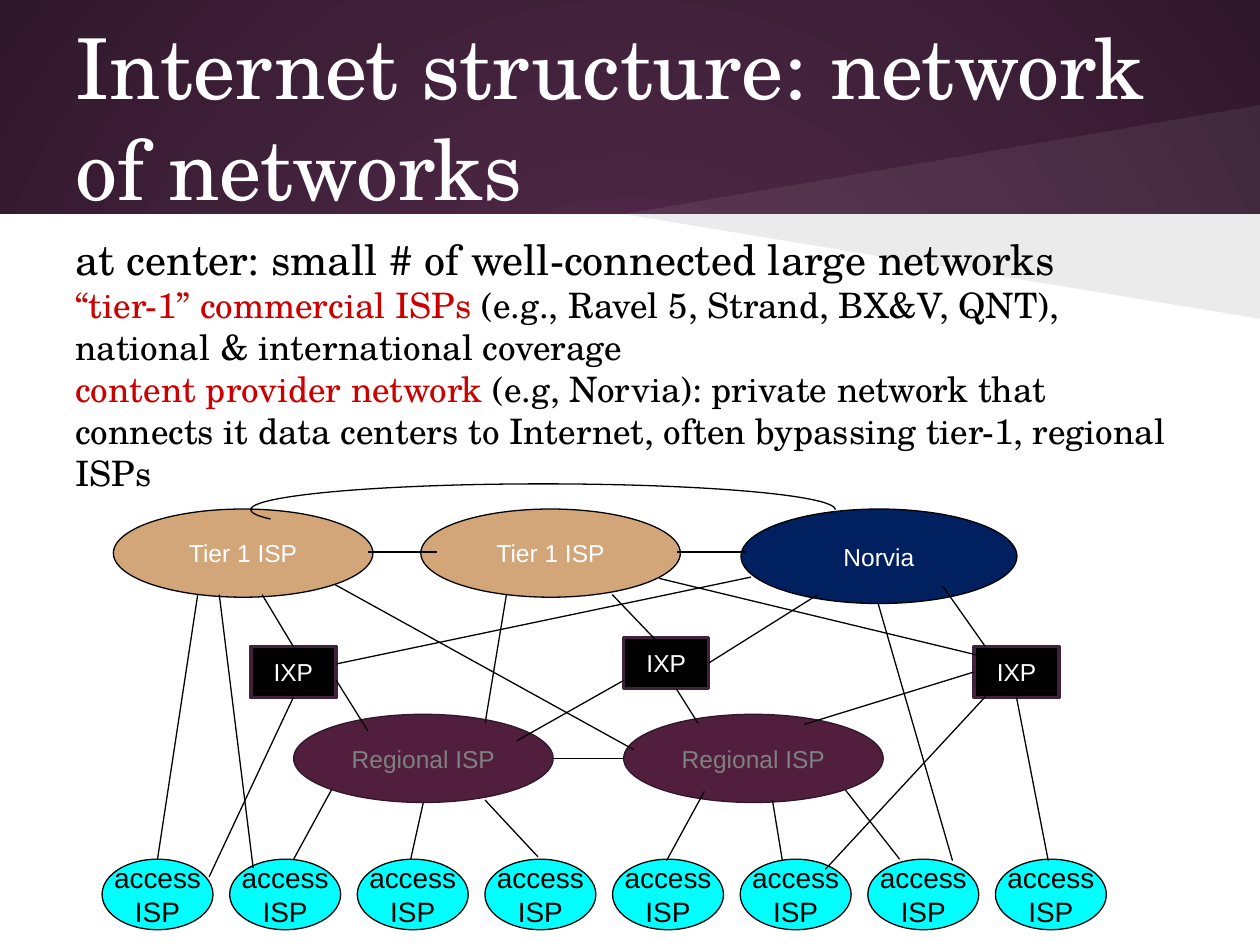
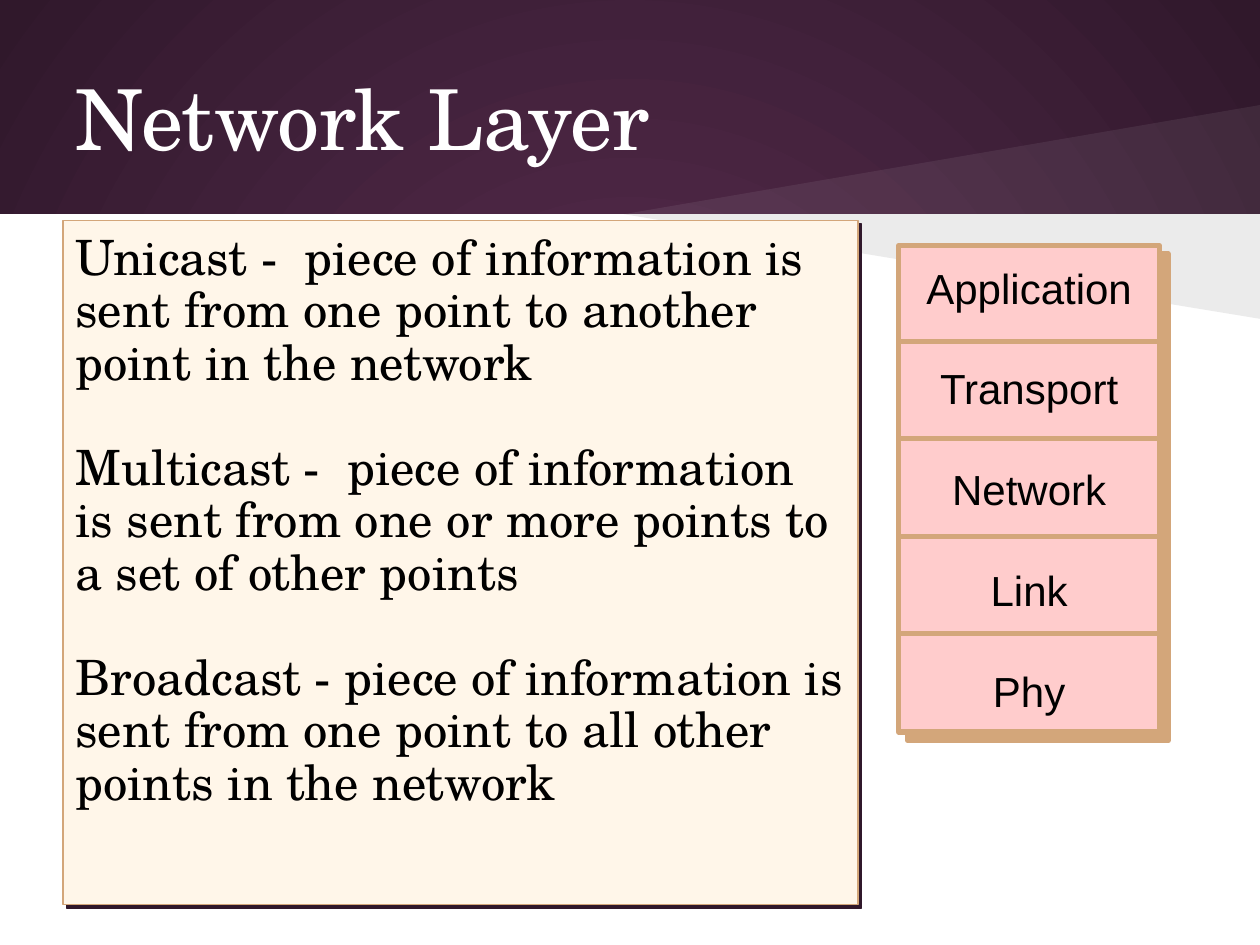
from dataclasses import dataclass
from typing import NamedTuple, Optional, Union

from lxml import etree
from pptx import Presentation
from pptx import util as u
from pptx.dml.color import RGBColor
from pptx.enum import shapes, text
from pptx.oxml import ns

Pt = u.Pt


# Theme
@dataclass(frozen=True)
class Theme:
    serif: str = "TeX Gyre Schola"
    sans: str = "Arial"
    black: str = "000000"
    white: str = "FFFFFF"
    plum: str = "592D50"
    dark_plum: str = "30182B"
    regional: str = "511E3E"
    exchange_edge: str = "42213B"
    tan: str = "D3A67A"
    navy: str = "002060"
    cyan: str = "00FFFF"
    grey: str = "808080"
    red: str = "CC0000"
    cream: str = "FFF6E9"
    pink: str = "FFCCCC"
    title_size: float = 48
    definition_size: float = 27.8
    lead_size: float = 24
    detail_size: float = 20
    access_size: float = 16
    node_size: float = 14
    thin: float = 0.75
    medium: float = 2
    thick: float = 3


THEME = Theme()
WIDTH, HEIGHT, BAND_BOTTOM = 720, 540, 122.4
ELLIPSE = shapes.MSO_SHAPE.OVAL
RECTANGLE = shapes.MSO_SHAPE.RECTANGLE
TOP, LEFT, BOTTOM, RIGHT = range(4)


class Frame(NamedTuple):
    left: float
    top: float
    width: float
    height: float


class Span(NamedTuple):
    words: str
    color: str = THEME.black


class Para(NamedTuple):
    spans: list[Span]
    size: float
    before: float = 0
    spacing: Optional[float] = None


@dataclass(frozen=True)
class Style:
    shape: int
    fill: str
    edge: str
    edge_width: float
    color: str
    size: float
    wrap: bool = False


class Node(NamedTuple):
    name: str
    label: str
    style: Style
    frame: Frame


class Point(NamedTuple):
    x: float
    y: float


class Joint(NamedTuple):
    node: str
    side: int


class Link(NamedTuple):
    start: Union[Point, Joint]
    end: Union[Point, Joint]


# Drawing helpers
def rgb(color: str) -> RGBColor:
    return RGBColor.from_string(color)


def add_element(parent, tag: str, **attributes: str):
    return etree.SubElement(parent, ns.qn(tag), attributes)


def paint(shape, fill: str, edge: Optional[str] = None, width: float = 0) -> None:
    shape.shadow.inherit = False
    shape.fill.solid()
    shape.fill.fore_color.rgb = rgb(fill)
    if edge:
        shape.line.color.rgb = rgb(edge)
        shape.line.width = Pt(width)
    else:
        shape.line.fill.background()


def add_box(page, shape_type: int, frame: Frame, fill: str,
            edge: Optional[str] = None, width: float = 0):
    box = page.shapes.add_shape(shape_type, *map(Pt, frame))
    paint(box, fill, edge, width)
    return box


def write(box, paras: list[Para], font: str, align=text.PP_ALIGN.LEFT,
          anchor=text.MSO_ANCHOR.MIDDLE, wrap: bool = True,
          inset: Optional[float] = None) -> None:
    frame = box.text_frame
    frame.word_wrap = wrap
    frame.vertical_anchor = anchor
    if inset is not None:
        frame.margin_left = frame.margin_right = Pt(inset)
        frame.margin_top = frame.margin_bottom = Pt(inset)
    for index, item in enumerate(paras):
        para = frame.add_paragraph() if index else frame.paragraphs[0]
        para.alignment = align
        para.space_before = Pt(item.before)
        if item.spacing:
            para.line_spacing = item.spacing
        para.font.name = font
        para.font.size = Pt(item.size)
        para.font.color.rgb = rgb(item.spans[0].color)
        for part in item.spans:
            span = para.add_run()
            span.text = part.words
            if len(item.spans) > 1:
                span.font.color.rgb = rgb(part.color)


def add_line(page, start: Point, end: Point, color: str, width: float):
    line = page.shapes.add_connector(
        shapes.MSO_CONNECTOR.STRAIGHT, *map(Pt, (*start, *end)))
    line.line.color.rgb = rgb(color)
    line.line.width = Pt(width)
    add_element(line._element.spPr, "a:effectLst")
    return line


def add_ray(page, corners: list[Point], color: str, opacity: int) -> None:
    points = [(Pt(x), Pt(y)) for x, y in corners]
    builder = page.shapes.build_freeform(*points[0])
    builder.add_line_segments(points[1:], close=True)
    ray = builder.convert_to_shape()
    paint(ray, color)
    fill = ray._element.spPr.find(ns.qn("a:solidFill"))
    add_element(fill[0], "a:alpha", val=str(opacity * 1000))


# Shared page: gradient, white panel, rays and title
def add_page(deck, title: str):
    page = deck.slides.add_slide(deck.slide_layouts[6])
    fill = page.background.fill
    fill.gradient()
    for stop, color in zip(fill.gradient_stops, (THEME.plum, THEME.dark_plum)):
        stop.color.rgb = rgb(color)
    gradient = page.element.find(".//" + ns.qn("a:gradFill"))
    gradient.remove(gradient.find(ns.qn("a:lin")))
    circle = add_element(gradient, "a:path", path="circle")
    add_element(circle, "a:fillToRect", l="50000", t="50000", r="50000", b="50000")

    add_box(page, RECTANGLE,
            Frame(0, BAND_BOTTOM, WIDTH, HEIGHT - BAND_BOTTOM), THEME.white)
    tip, edge = Point(356.4, BAND_BOTTOM), Point(WIDTH, BAND_BOTTOM)
    add_ray(page, [edge, tip, Point(WIDTH, 60)], THEME.white, 7)
    add_ray(page, [edge, tip, Point(WIDTH, 182.2)], THEME.black, 8)

    box = page.shapes.add_textbox(*map(Pt, (36, 21.6, 648, 90)))
    write(box, [Para([Span(title, THEME.white)], THEME.title_size)],
          THEME.serif, inset=7.2)
    return page


# Slide 1: nodes and links of the network
ACCESS = Style(ELLIPSE, THEME.cyan, THEME.black, THEME.thin, THEME.black, THEME.access_size)
REGIONAL = Style(ELLIPSE, THEME.regional, THEME.dark_plum, THEME.thin, THEME.grey, THEME.node_size)
TIER_1 = Style(ELLIPSE, THEME.tan, THEME.black, THEME.thin, THEME.white, THEME.node_size)
CONTENT = Style(ELLIPSE, THEME.navy, THEME.black, THEME.thin, THEME.white, THEME.node_size)
EXCHANGE = Style(RECTANGLE, THEME.black, THEME.exchange_edge, THEME.medium, THEME.white,
                 THEME.node_size, wrap=True)

NODES = [
    *(Node(f"access {i}", "access\nISP", ACCESS, Frame(58.3 + 72.93 * i, 491, 63.4, 40.3))
      for i in range(8)),
    *(Node(f"regional {i}", "Regional ISP", REGIONAL, Frame(x, 408.2, 148.3, 50.4))
      for i, x in enumerate((167.8, 356.4))),
    *(Node(f"tier {i}", "Tier 1 ISP", TIER_1, Frame(x, 290.9, 148.3, 50.4))
      for i, x in enumerate((64.8, 240.5))),
    Node("content", "Norvia", CONTENT, Frame(423.4, 290.9, 157.7, 54)),
    *(Node(f"ixp {i}", "IXP", EXCHANGE, Frame(x, y, 48.6, 29.2))
      for i, (x, y) in enumerate(((143.3, 369.4), (356.4, 364.3), (556.6, 369.4)))),
]

LINKS = [
    # Among the large networks and the regional ones
    Link(Point(249.8, 315.4), Point(210.2, 315.4)),
    Link(Point(426.2, 315.4), Point(386.6, 315.4)),
    Link(Point(356.4, 433.4), Point(316.1, 433.4)),
    Link(Point(289.4, 339.8), Point(277.2, 413.3)),
    Link(Point(191.5, 334.1), Point(362.2, 428.4)),
    # Large networks to exchange points
    Link(Point(149.8, 339.8), Joint("ixp 0", TOP)),
    Link(Point(429.1, 329.8), Point(192.2, 379.4)),
    Link(Point(349.9, 339.8), Point(380.9, 372.2)),
    Link(Point(467.3, 339.8), Joint("ixp 1", RIGHT)),
    Link(Point(538.6, 334.8), Point(563, 369.4)),
    Link(Point(376.6, 330.5), Point(558.7, 374.4)),
    # Exchange points to regional networks
    Link(Point(192.2, 388.8), Point(210.2, 417.6)),
    Link(Point(386.6, 393.8), Point(398.9, 413.3)),
    Link(Point(356.4, 388.8), Point(295.2, 423.4)),
    Link(Joint("ixp 2", LEFT), Point(459.4, 414)),
    # Down to access networks
    Link(Point(113, 339.8), Point(90, 491)),
    Link(Point(125.3, 339.8), Point(144.7, 496.1)),
    Link(Joint("ixp 0", BOTTOM), Point(119.5, 501.1)),
    Link(Point(189.4, 451.4), Point(167.8, 491)),
    Link(Point(241.9, 458.6), Point(234.7, 491)),
    Link(Point(277.2, 457.2), Point(307.4, 489.6)),
    Link(Point(402.5, 452.2), Point(380.9, 491.8)),
    Link(Point(441.4, 457.2), Point(447.1, 491.8)),
    Link(Point(483.1, 451.4), Point(514.1, 491)),
    Link(Point(501.8, 344.9), Point(544.3, 491.8)),
    Link(Point(563, 398.2), Point(471.6, 496.8)),
    Link(Joint("ixp 2", BOTTOM), Point(599, 491.8)),
]


def add_node(page, node: Node):
    style = node.style
    box = add_box(page, style.shape, node.frame, style.fill, style.edge, style.edge_width)
    paras = [Para([Span(line, style.color)], style.size) for line in node.label.split("\n")]
    write(box, paras, THEME.sans, text.PP_ALIGN.CENTER, wrap=style.wrap)
    return box


def add_link(page, link: Link, boxes: dict) -> None:
    start, end = (Point(0, 0) if isinstance(tip, Joint) else tip for tip in link)
    line = add_line(page, start, end, THEME.black, THEME.thin)
    if isinstance(link.start, Joint):
        line.begin_connect(boxes[link.start.node], link.start.side)
    if isinstance(link.end, Joint):
        line.end_connect(boxes[link.end.node], link.end.side)


def build_structure(deck) -> None:
    page = add_page(deck, "Internet structure: network of networks")
    body = page.shapes.add_textbox(*map(Pt, (36, 126, 648, 136)))
    write(body, [
        Para([Span("at center: small # of well-connected large networks")], THEME.lead_size),
        Para([Span("“tier-1” commercial ISPs ", THEME.red),
              Span("(e.g., Ravel 5, Strand, BX&V, QNT), national & international coverage")],
             THEME.detail_size),
        Para([Span("content provider network ", THEME.red),
              Span("(e.g, Norvia): private network that connects it data centers to "
                   "Internet, often bypassing tier-1, regional ISPs")],
             THEME.detail_size),
    ], THEME.serif, anchor=text.MSO_ANCHOR.TOP, inset=7.2)

    boxes = {node.name: add_node(page, node) for node in NODES}
    for link in LINKS:
        add_link(page, link, boxes)

    # Arc from the first tier-1 network to the content provider
    arc = add_box(page, shapes.MSO_SHAPE.ARC, Frame(143.3, 276.5, 334.1, 29.5),
                  THEME.white, THEME.black, THEME.thin)
    arc.fill.background()
    arc.adjustments[0], arc.adjustments[1] = 106.82, 0


# Slide 2: definitions beside the layer stack
DEFINITIONS = [
    "Unicast -  piece of information is sent from one point to another point in the network",
    "Multicast -  piece of information is sent from one or more points to a set of other points",
    "Broadcast - piece of information is sent from one point to all other points in the network",
]
LAYERS = ["Application", "Transport", "Network", "Link", "Phy"]


def build_layers(deck) -> None:
    page = add_page(deck, "Network Layer")
    panel = add_box(page, RECTANGLE, Frame(36, 126, 454.3, 391),
                    THEME.cream, THEME.tan, THEME.thin)
    effects = panel._element.spPr.find(ns.qn("a:effectLst"))
    shadow = add_element(effects, "a:outerShdw", dist=str(Pt(2.8)), dir="2700000",
                         algn="ctr", rotWithShape="0")
    add_element(shadow, "a:srgbClr", val=THEME.dark_plum)
    write(panel, [Para([Span(words)], THEME.definition_size, 30 if i else 0, 0.9)
                  for i, words in enumerate(DEFINITIONS)],
          THEME.serif, anchor=text.MSO_ANCHOR.TOP, inset=7.2)

    # Layer stack over its offset backing
    stack = Frame(513.6, 140.4, 149, 277.9)
    backing = stack._replace(left=stack.left + 5, top=stack.top + 4.8)
    add_box(page, RECTANGLE, backing, THEME.tan, THEME.tan, THEME.thick)
    layers = add_box(page, RECTANGLE, stack, THEME.pink, THEME.tan, THEME.thick)
    write(layers, [Para([Span(name)], THEME.lead_size, 28.8 if i else 0)
                   for i, name in enumerate(LAYERS)],
          THEME.sans, text.PP_ALIGN.CENTER, wrap=False)
    for i in range(len(LAYERS) - 1):
        y = 195.1 + 55.7 * i
        add_line(page, Point(513.4, y), Point(661.7, y), THEME.tan, THEME.thick)


def main() -> None:
    deck = Presentation()
    deck.slide_width, deck.slide_height = Pt(WIDTH), Pt(HEIGHT)
    build_structure(deck)
    build_layers(deck)
    deck.save("out.pptx")


if __name__ == "__main__":
    main()
